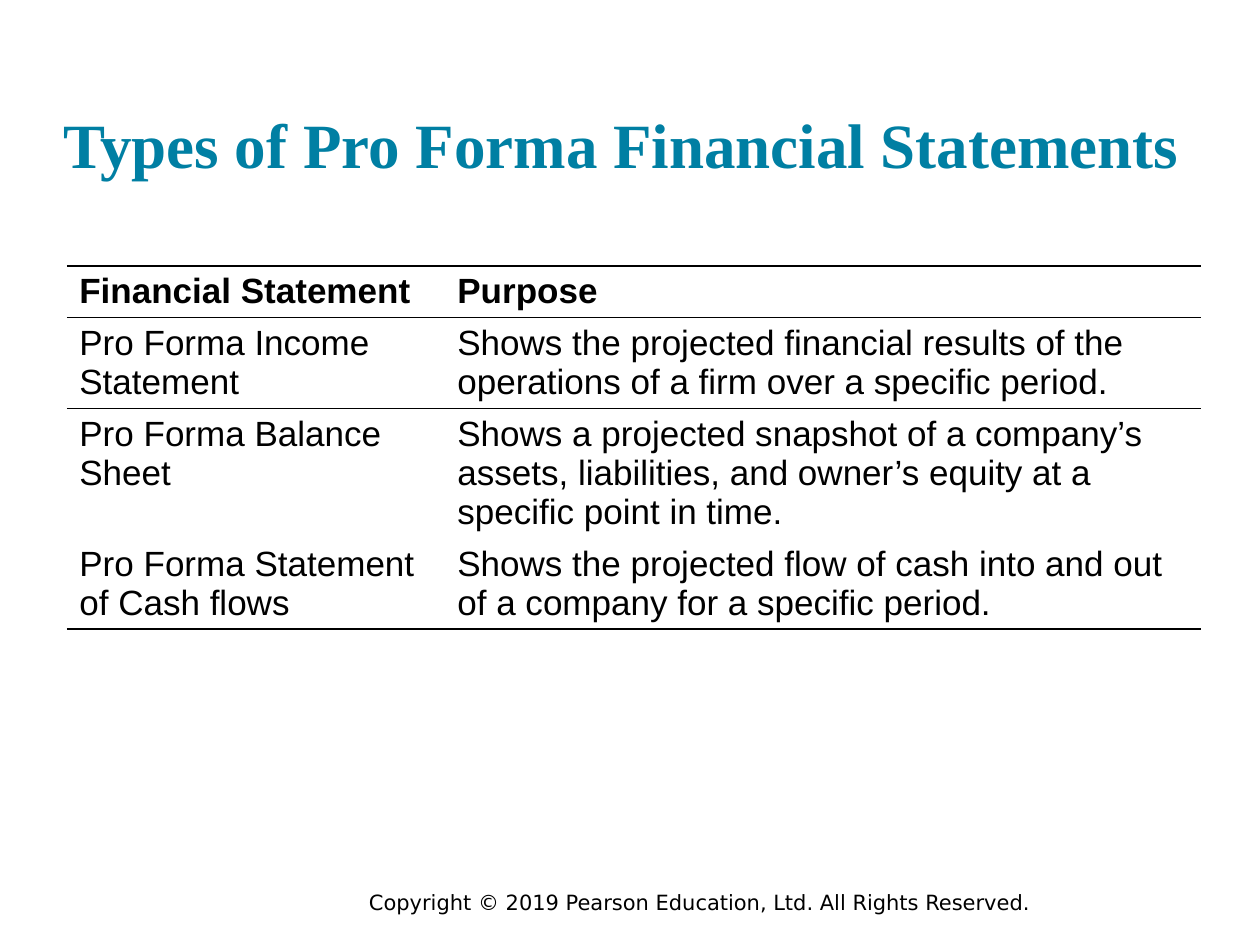
from lxml.etree import SubElement
from pptx import Presentation
from pptx.dml.color import RGBColor
from pptx.enum.text import MSO_ANCHOR, PP_ALIGN
from pptx.oxml.ns import qn
from pptx.util import Inches, Pt

# Content
TITLE = "Types of Pro Forma Financial Statements"
NOTICE = "Copyright © 2019 Pearson Education, Ltd. All Rights Reserved."
ROWS = [
    ("Financial Statement", "Purpose"),
    ("Pro Forma Income Statement",
     "Shows the projected financial results of the operations of a firm "
     "over a specific period."),
    ("Pro Forma Balance Sheet",
     "Shows a projected snapshot of a company’s assets, liabilities, and "
     "owner’s equity at a specific point in time."),
    ("Pro Forma Statement of Cash flows",
     "Shows the projected flow of cash into and out of a company for a "
     "specific period."),
]

# Look
TEAL = RGBColor(0x00, 0x7F, 0xA3)
BLACK = RGBColor(0, 0, 0)
PLAIN = "{2D5ABB26-0587-4C30-8999-92F81FD0307C}"  # no style, no grid
COLS = (3, 6)
ROW = 0.41


def style(para, name, size, color, bold=False):
    for run in para.runs:
        font = run.font
        font.name, font.size, font.bold = name, Pt(size), bold
        font.color.rgb = color


def rule(cell, sides):
    """Draw 1 pt lines on the given sides, ahead of the cell's fill."""
    props = cell._tc.get_or_add_tcPr()
    for spot, side in enumerate(sides):
        line = props.makeelement(qn(f"a:ln{side}"), {"w": str(Pt(1))})
        fill = SubElement(line, qn("a:solidFill"))
        SubElement(fill, qn("a:srgbClr"), val=str(BLACK))
        props.insert(spot, line)


deck = Presentation()
deck.slide_width, deck.slide_height = Inches(10), Inches(7.5)
slide = deck.slides.add_slide(deck.slide_layouts[5])

# Title
title = slide.shapes.title
title.left, title.top = Inches(0.5), Inches(0.24)
title.width, title.height = Inches(9), Inches(1.2)
frame = title.text_frame
frame.text = TITLE
frame.word_wrap = True
frame.vertical_anchor = MSO_ANCHOR.BOTTOM
frame.margin_left = frame.margin_right = 0
frame.margin_top = frame.margin_bottom = 0
frame.paragraphs[0].alignment = PP_ALIGN.LEFT
style(frame.paragraphs[0], "Times New Roman", 36, TEAL, True)

# Table
holder = slide.shapes.add_table(
    len(ROWS), len(COLS), Inches(0.53), Inches(2.11),
    Inches(sum(COLS)), Inches(ROW * len(ROWS)))
table = holder.table
table.horz_banding = False
table._tbl.tblPr.find(qn("a:tableStyleId")).text = PLAIN
for col, width in zip(table.columns, COLS):
    col.width = Inches(width)
for r, texts in enumerate(ROWS):
    table.rows[r].height = Inches(ROW)
    sides = {0: "TB", 1: "T", len(ROWS) - 1: "B"}.get(r, "")
    for c, text in enumerate(texts):
        cell = table.cell(r, c)
        cell.text = text
        cell.fill.background()
        style(cell.text_frame.paragraphs[0], "Arial", 20, BLACK, r == 0)
        rule(cell, sides)

# Copyright line
foot = slide.shapes.add_textbox(
    Inches(2.83), Inches(7.01), Inches(6.67), Inches(0.3)).text_frame
foot.word_wrap = True
foot.text = NOTICE
style(foot.paragraphs[0], "DejaVu Sans", 12, BLACK)

deck.save("out.pptx")
